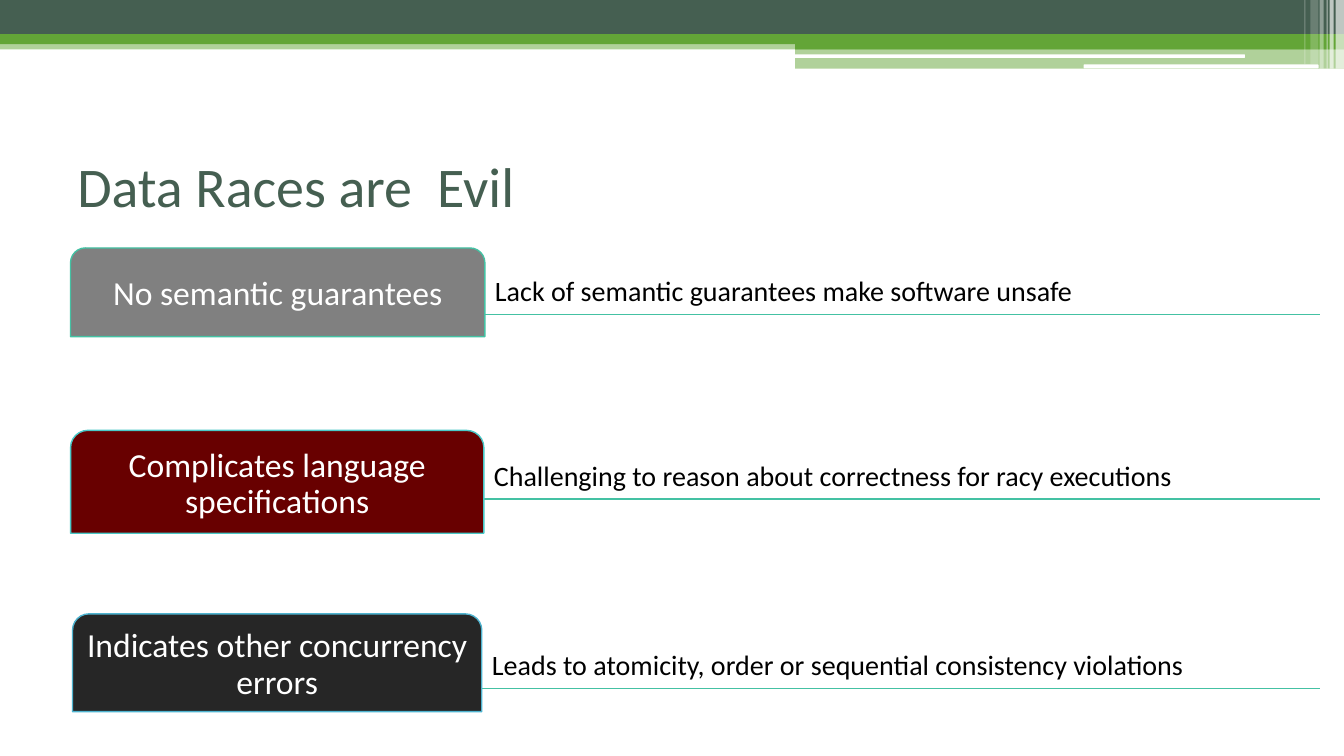
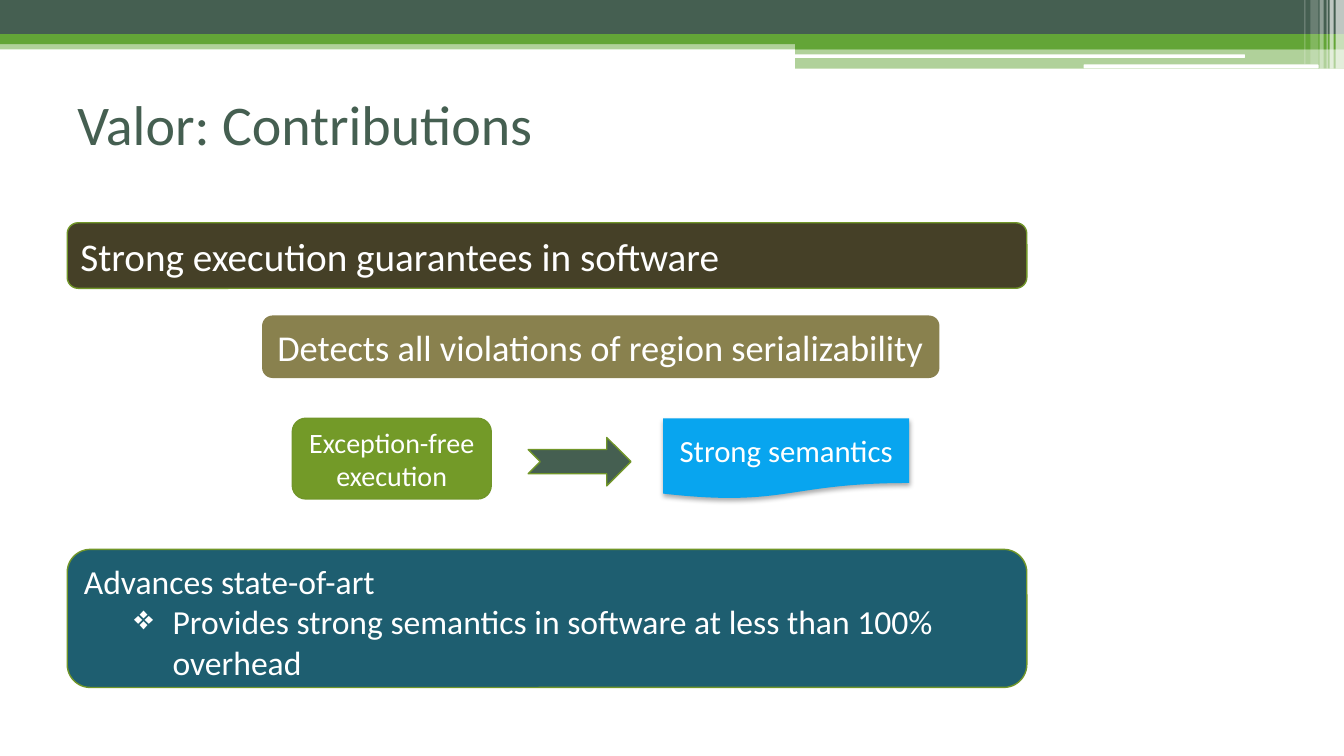
from dataclasses import dataclass

from lxml import etree
from pptx import Presentation
from pptx.dml.color import RGBColor
from pptx.enum.shapes import MSO_CONNECTOR, MSO_SHAPE
from pptx.enum.text import MSO_ANCHOR, PP_ALIGN
from pptx.oxml.ns import qn
from pptx.util import Emu, Inches, Pt

RECT = MSO_SHAPE.RECTANGLE
ROUNDED = MSO_SHAPE.ROUNDED_RECTANGLE
TAB = MSO_SHAPE.ROUND_2_SAME_RECTANGLE
NOTCHED_ARROW = MSO_SHAPE.NOTCHED_RIGHT_ARROW
DOCUMENT = MSO_SHAPE.FLOWCHART_DOCUMENT
STRAIGHT = MSO_CONNECTOR.STRAIGHT
LEFT, CENTER = PP_ALIGN.LEFT, PP_ALIGN.CENTER
TOP, MIDDLE, BOTTOM = MSO_ANCHOR.TOP, MSO_ANCHOR.MIDDLE, MSO_ANCHOR.BOTTOM
TITLE_ONLY = 5


@dataclass(frozen=True)
class Theme:
    font: str = "Calibri"
    # Colours
    slate: str = "455F51"
    green: str = "63A537"
    white: str = "FFFFFF"
    black: str = "000000"
    teal: str = "44C1A3"
    aqua: str = "49C8C7"
    sky: str = "4EB3CF"
    gray: str = "808080"
    maroon: str = "680000"
    charcoal: str = "262626"
    umber: str = "454027"
    khaki: str = "89814E"
    olive: str = "739A28"
    olive_edge: str = "719629"
    azure: str = "08A5EF"
    petrol: str = "1E5E70"
    # Type sizes
    title: int = 40
    banner: int = 28
    claim: int = 26
    label: int = 24
    result: int = 22
    detail: int = 20


THEME = Theme()


def write(paragraph, text, size, color, align=LEFT, spacing=None, bullet=None):
    """Fill one paragraph; bullet is (character, indent, hanging) in inches."""
    if bullet:
        char, indent, hanging = bullet
        properties = paragraph._p.get_or_add_pPr()
        properties.set("marL", str(Inches(indent)))
        properties.set("indent", str(-Inches(hanging)))
        etree.SubElement(properties, qn("a:buChar"), char=char)
    paragraph.alignment = align
    if spacing:
        paragraph.line_spacing = spacing
    run = paragraph.add_run()
    run.text = text
    run.font.name, run.font.size = THEME.font, Pt(size)
    run.font.color.rgb = RGBColor.from_string(color)


class Deck:
    """Places elements on a grid of 100 columns by 100 rows."""

    def __init__(self):
        self.file = Presentation()
        self.file.slide_width, self.file.slide_height = Inches(13.33), Inches(7.5)
        self.layout = self.file.slide_layouts[TITLE_ONLY]
        self.slide = None

    def box(self, left, top, width, height):
        column, row = self.file.slide_width / 100, self.file.slide_height / 100
        return [Emu(round(share * unit)) for share, unit in
                ((left, column), (top, row), (width, column), (height, row))]

    def add_slide(self, title, top):
        first = self.slide is None
        self.slide = self.file.slides.add_slide(self.layout)
        if first:
            self.add_bands()
        heading = self.slide.shapes.title
        heading.left, heading.top, heading.width, heading.height = self.box(5, top, 90, 15.6)
        heading.text_frame.vertical_anchor = MIDDLE
        write(heading.text_frame.paragraphs[0], title, THEME.title, THEME.slate)

    def add_bands(self):
        """Draw the header bands and keep them on the shared layout."""
        green, white = THEME.green, THEME.white
        bands = [  # kind, place, colour, opacity in percent
            (RECT, (0, 5.33, 100, 1.2), green, 50),
            (RECT, (0, 0, 100, 4.53), THEME.slate, 100),
            (RECT, (0, 4.53, 100, 1.33), green, 100),
            (RECT, (59.17, 5.2, 40.83, 1.33), green, 100),
            (RECT, (59.17, 6.4, 40.83, 2.67), green, 50),
            (ROUNDED, (59.1, 7.2, 33.53, 0.45), white, 100),
            (ROUNDED, (80.63, 8.53, 17.48, 0.5), white, 100),
        ]
        stripes = [  # left, width, height, opacity
            (99.38, 0.62, 9.1, 65), (98.93, 0.3, 9.1, 65), (98.7, 0.08, 9.1, 60),
            (98.18, 0.3, 9.1, 40), (97.5, 0.6, 8.53, 20), (97.05, 0.08, 8.53, 30),
        ]
        bands += [(RECT, (left, 0, width, height), white, opacity)
                  for left, width, height, opacity in stripes]
        for index, (kind, place, color, opacity) in enumerate(bands):
            band = self.add_shape(kind, place, color, opacity=opacity).element
            band.nvSpPr.cNvPr.set("id", str(100 + index))
            self.layout.shapes.element.insert(2 + index, band)

    def add_shape(self, kind, place, fill, edge=None, opacity=100):
        shape = self.slide.shapes.add_shape(kind, *self.box(*place))
        shape.shadow.inherit = False
        shape.fill.solid()
        shape.fill.fore_color.rgb = RGBColor.from_string(fill)
        if opacity < 100:
            color = next(shape.element.spPr.iter(qn("a:srgbClr")))
            etree.SubElement(color, qn("a:alpha"), val=str(opacity * 1000))
        if edge:
            shape.line.color.rgb = RGBColor.from_string(edge)
            shape.line.width = Pt(1)
        else:
            shape.line.fill.background()
        return shape

    def add_panel(self, kind, place, text, size, fill, edge=None, inset=None, **style):
        """Add a filled shape with white text."""
        panel = self.add_shape(kind, place, fill, edge)
        self.fill_frame(panel.text_frame, text, MIDDLE, inset, size=size,
                        color=THEME.white, **style)
        return panel

    def add_text(self, place, text, anchor, inset, **style):
        caption = self.slide.shapes.add_textbox(*self.box(*place))
        self.fill_frame(caption.text_frame, text, anchor, inset, **style)

    def fill_frame(self, frame, text, anchor, inset, **style):
        frame.word_wrap = True
        frame.vertical_anchor = anchor
        if inset is not None:
            frame.margin_left = frame.margin_right = Inches(inset)
            frame.margin_top = frame.margin_bottom = Inches(inset)
        write(frame.paragraphs[0], text, **style)

    def add_rule(self, left, right, top, color):
        start, height, end, _ = self.box(left, top, right, 0)
        rule = self.slide.shapes.add_connector(STRAIGHT, start, height, end, height)
        rule.line.color.rgb = RGBColor.from_string(color)
        rule.line.width = Pt(1)
        etree.SubElement(rule.element.spPr, qn("a:effectLst"))

    def add_shadow(self, shape, opacity, blur, distance):
        effects = shape.element.spPr.find(qn("a:effectLst"))
        shadow = etree.SubElement(effects, qn("a:outerShdw"), blurRad=str(Pt(blur)),
                                  dist=str(Pt(distance)), dir="5400000", rotWithShape="0")
        color = etree.SubElement(shadow, qn("a:srgbClr"), val=THEME.black)
        etree.SubElement(color, qn("a:alpha"), val=str(opacity * 1000))


def build_races(deck):
    deck.add_slide("Data Races are  Evil", top=16.67)
    # label, explanation, tab place, rule height, fill, edge
    problems = [
        ("No semantic guarantees", "Lack of semantic guarantees make software unsafe",
         (5.25, 32.8, 30.83, 11.73), 41.6, THEME.gray, THEME.teal),
        ("Complicates language specifications",
         "Challenging to reason about correctness for racy executions",
         (5.25, 56.93, 30.75, 13.6), 66, THEME.maroon, THEME.aqua),
        ("Indicates other concurrency errors",
         "Leads to atomicity, order or sequential consistency violations",
         (5.4, 81.2, 30.45, 12.93), 91.07, THEME.charcoal, THEME.sky),
    ]
    for label, explanation, place, rule, fill, edge in problems:
        deck.add_rule(6.75, 98.25, rule, THEME.teal)
        deck.add_panel(TAB, place, label, THEME.label, fill, edge, inset=0.05,
                       align=CENTER, spacing=0.9)
        deck.add_text((place[0] + place[2] + 0.45, rule - 6.35, 59, 6), explanation,
                      BOTTOM, 0.04, size=THEME.detail, color=THEME.black, spacing=0.9)


def build_contributions(deck):
    deck.add_slide("Valor: Contributions", top=8.53)
    edge = THEME.olive_edge

    # Guarantees
    deck.add_panel(ROUNDED, (5, 29.47, 71.4, 8.67), "Strong execution guarantees in software",
                   THEME.banner, THEME.umber, edge)
    deck.add_panel(ROUNDED, (19.5, 41.73, 50.4, 8.27),
                   "Detects all violations of region serializability",
                   THEME.claim, THEME.khaki, inset=0.05, align=CENTER)

    # Execution leads to semantics
    deck.add_panel(ROUNDED, (21.75, 55.33, 14.8, 10.67), "Exception-free execution",
                   THEME.detail, THEME.olive, edge, align=CENTER)
    deck.add_shape(NOTCHED_ARROW, (39.3, 57.87, 7.65, 6.4), THEME.slate, edge)
    semantics = deck.add_panel(DOCUMENT, (49.35, 55.33, 18.3, 10.67), "Strong semantics",
                               THEME.result, THEME.azure, align=CENTER)
    deck.add_shadow(semantics, opacity=32, blur=3.5, distance=2.2)

    # Advance over earlier work
    advance = deck.add_panel(ROUNDED, (5, 72.67, 71.4, 18.27), "Advances state-of-art",
                             THEME.label, THEME.petrol, edge).text_frame
    advance.vertical_anchor = TOP
    overhead = advance.add_paragraph()
    overhead.level = 1
    write(overhead, "Provides strong semantics in software at less than 100% overhead",
          THEME.label, THEME.white, bullet=("❖", 0.88, 0.38))


def main():
    deck = Deck()
    build_races(deck)
    build_contributions(deck)
    deck.file.save("out.pptx")


if __name__ == "__main__":
    main()
